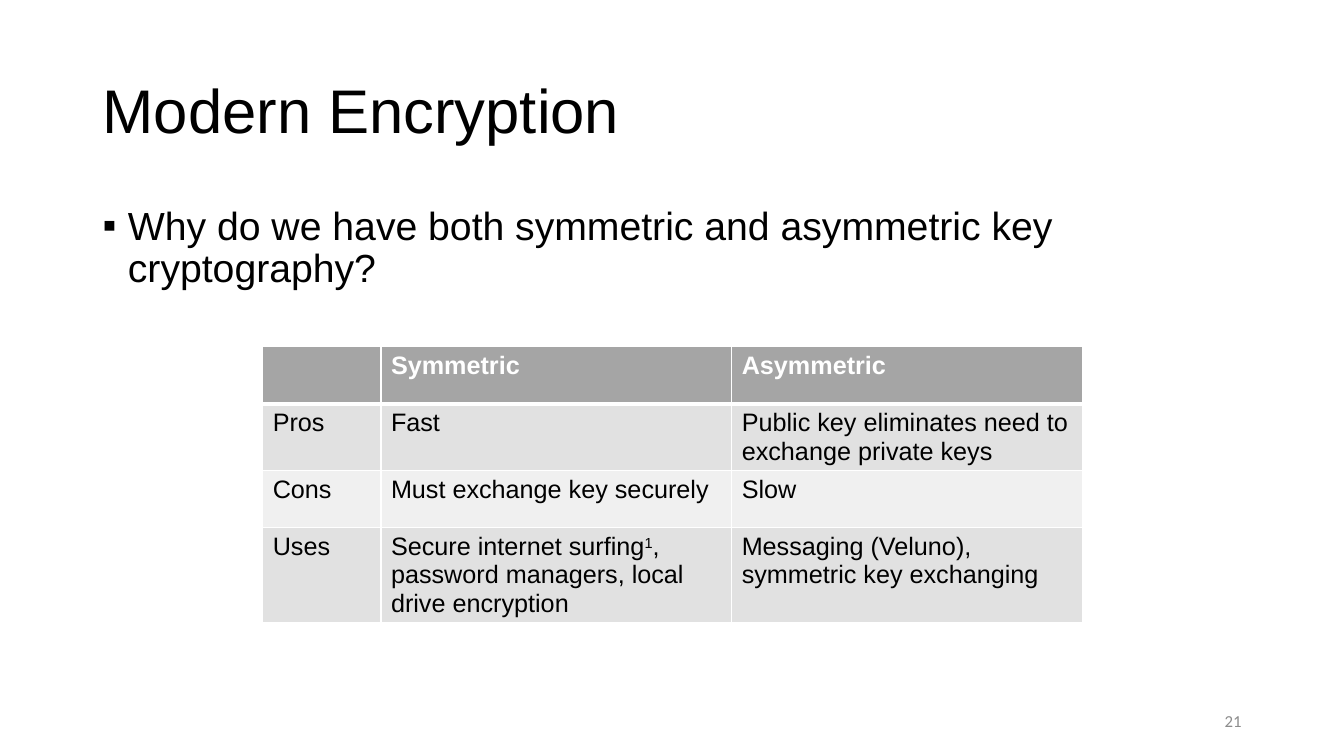
from lxml import etree
from pptx import Presentation
from pptx import util as u
from pptx.dml.color import RGBColor
from pptx.enum import text
from pptx.oxml import ns

BLACK = RGBColor(0x00, 0x00, 0x00)
WHITE = RGBColor(0xFF, 0xFF, 0xFF)
HEADER_GRAY = RGBColor(0xA5, 0xA5, 0xA5)
BAND_GRAYS = (RGBColor(0xE1, 0xE1, 0xE1), RGBColor(0xF0, 0xF0, 0xF0))
NUMBER_GRAY = RGBColor(0x8C, 0x8C, 0x8C)

SUPERSCRIPT = "^"
ROWS = [
    ["", "Symmetric", "Asymmetric"],
    ["Pros", "Fast", "Public key eliminates need to exchange private keys"],
    ["Cons", "Must exchange key securely", "Slow"],
    ["Uses", "Secure internet surfing^1^, password managers, local drive encryption",
     "Messaging (Veluno), symmetric key exchanging"],
]


def write(para, words, size=18, font="Arial", color=BLACK, bold=False,
          align=text.PP_ALIGN.LEFT, line=None, before=None):
    """Fill a paragraph; words between ^ marks are raised."""
    para.alignment = align
    if line is not None:
        para.line_spacing = line
    if before is not None:
        para.space_before = u.Pt(before)
    for index, part in enumerate(words.split(SUPERSCRIPT)):
        span = para.add_run()
        span.text = part
        span.font.size = u.Pt(size)
        span.font.name = font
        span.font.bold = bold
        span.font.color.rgb = color
        if index % 2:
            span.font._element.set("baseline", "30000")


def set_bullet(para, mark, indent):
    props = para._p.get_or_add_pPr()
    props.set("marL", str(indent))
    props.set("indent", str(-indent))
    etree.SubElement(props, ns.qn("a:buFont"), typeface="Arial")
    etree.SubElement(props, ns.qn("a:buChar"), char=mark)


def set_borders(cell, color, bottom=1):
    props = cell._tc.get_or_add_tcPr()
    widths = {"lnL": 1, "lnR": 1, "lnT": 1, "lnB": bottom}
    for index, (side, width) in enumerate(widths.items()):
        edge = etree.Element(ns.qn("a:" + side), w=str(u.Pt(width)))
        fill = etree.SubElement(edge, ns.qn("a:solidFill"))
        etree.SubElement(fill, ns.qn("a:srgbClr"), val=str(color))
        props.insert(index, edge)


class SlideBuilder:
    """Holds the current page and its shared style."""

    line = 0.9

    def __init__(self, page):
        self.page = page

    def place(self, box, left, top, width, height, anchor):
        box.left, box.top = u.Cm(left), u.Cm(top)
        box.width, box.height = u.Cm(width), u.Cm(height)
        frame = box.text_frame
        frame.word_wrap = True
        frame.auto_size = text.MSO_AUTO_SIZE.NONE
        frame.vertical_anchor = anchor
        return frame.paragraphs[0]

    def title(self, words, *area):
        para = self.place(self.page.shapes.title, *area, text.MSO_ANCHOR.MIDDLE)
        write(para, words, size=44, line=self.line, before=0)

    def bullet(self, words, *area):
        para = self.place(self.page.placeholders[1], *area, text.MSO_ANCHOR.TOP)
        write(para, words, size=28, line=self.line, before=10)
        set_bullet(para, "▪", u.Cm(0.64))

    def page_number(self, words, *area):
        box = self.page.shapes.add_textbox(0, 0, 0, 0)
        para = self.place(box, *area, text.MSO_ANCHOR.MIDDLE)
        write(para, words, size=12, font="Calibri", color=NUMBER_GRAY,
              align=text.PP_ALIGN.RIGHT)

    def table(self, rows, left, top, widths, row_height):
        frame = self.page.shapes.add_table(
            len(rows), len(widths), u.Cm(left), u.Cm(top),
            u.Cm(sum(widths)), u.Cm(row_height * len(rows)))
        grid = frame.table
        for column, width in zip(grid.columns, widths):
            column.width = u.Cm(width)
        for r, row in enumerate(rows):
            header = r == 0
            for c, words in enumerate(row):
                cell = grid.cell(r, c)
                cell.fill.solid()
                cell.fill.fore_color.rgb = HEADER_GRAY if header else BAND_GRAYS[(r - 1) % 2]
                set_borders(cell, WHITE, bottom=3 if header else 1)
                if words:
                    write(cell.text_frame.paragraphs[0], words, bold=header,
                          color=WHITE if header else BLACK)


def main():
    deck = Presentation()
    deck.slide_width, deck.slide_height = u.Cm(33.87), u.Cm(19.05)
    slide = SlideBuilder(deck.slides.add_slide(deck.slide_layouts[1]))
    slide.title("Modern Encryption", 2.33, 1.01, 29.21, 3.68)
    slide.bullet("Why do we have both symmetric and asymmetric key cryptography?",
                 2.33, 5.07, 29.21, 12.09)
    slide.table(ROWS, 6.62, 8.74, [2.98, 8.84, 8.84], 1.44)
    slide.page_number("21", 23.92, 17.66, 7.62, 1.01)
    deck.save("out.pptx")


if __name__ == "__main__":
    main()
